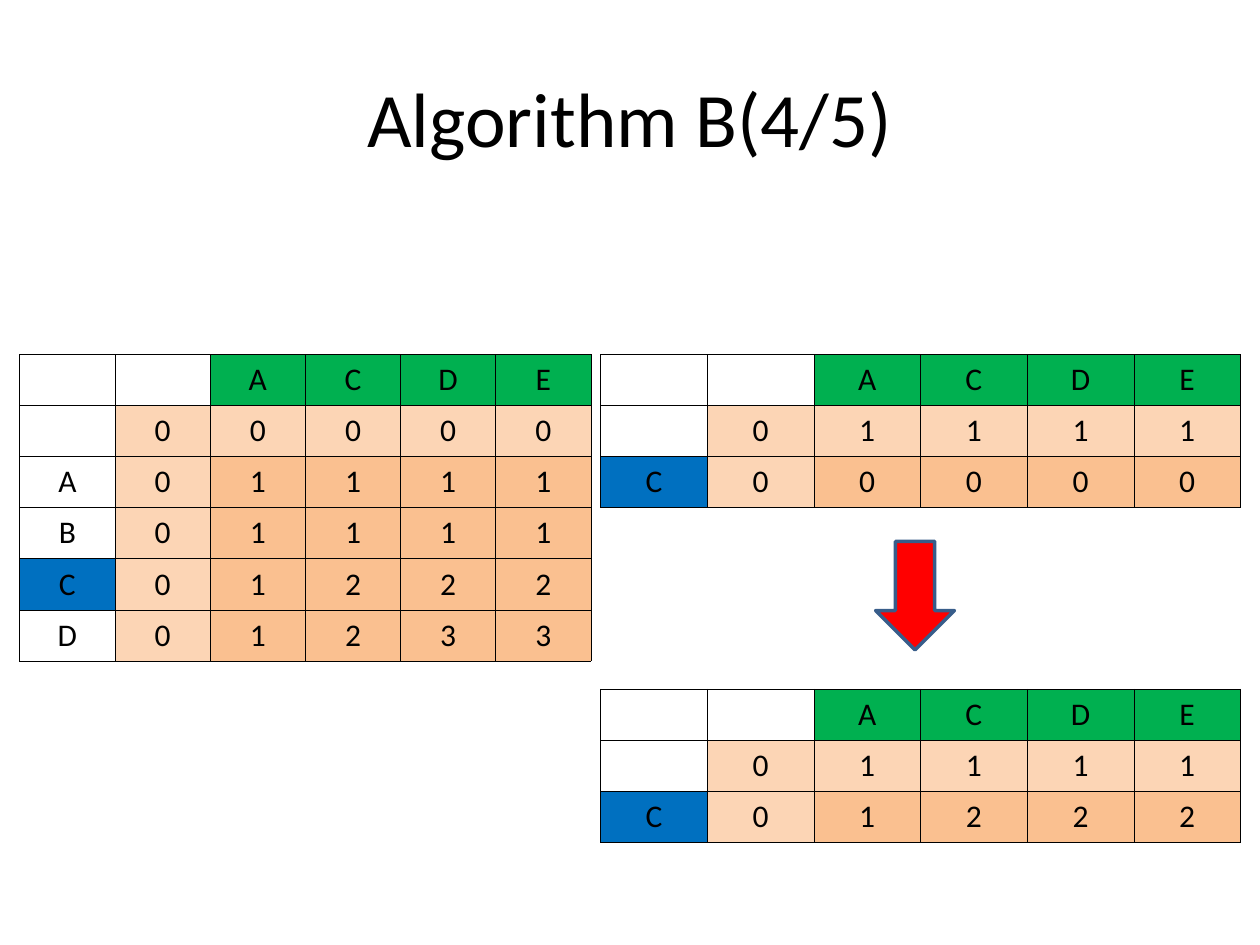
from lxml.etree import SubElement
from pptx import Presentation
from pptx.dml.color import RGBColor
from pptx.enum.shapes import MSO_SHAPE
from pptx.enum.text import MSO_ANCHOR, PP_ALIGN
from pptx.oxml.ns import qn
from pptx.util import Pt

COLORS = {
    "text": "000000",
    "border": "000000",
    "blank": "FFFFFF",
    "header": "00B050",
    "key": "0070C0",
    "base": "FCD5B5",
    "score": "FAC090",
    "arrow": "FF0000",
    "arrow_line": "385D8A",
}
FONT = "Calibri"
ROW_HEIGHT = 29.2
HEADER = ["", "", "A", "C", "D", "E"]
FULL_SCORES = [
    HEADER,
    ["", "0", "0", "0", "0", "0"],
    ["A", "0", "1", "1", "1", "1"],
    ["B", "0", "1", "1", "1", "1"],
    ["C", "0", "1", "2", "2", "2"],
    ["D", "0", "1", "2", "3", "3"],
]
ROW_BEFORE = [
    HEADER,
    ["", "0", "1", "1", "1", "1"],
    ["C", "0", "0", "0", "0", "0"],
]
ROW_AFTER = ROW_BEFORE[:2] + [["C", "0", "1", "2", "2", "2"]]


def color(name):
    return RGBColor.from_string(COLORS[name])


def write(frame, text, size):
    para = frame.paragraphs[0]
    para.alignment = PP_ALIGN.CENTER
    if text:
        span = para.add_run()
        span.text = text
        span.font.name = FONT
        span.font.size = Pt(size)
        span.font.color.rgb = color("text")


def add_title(page, left, top, width, height):
    box = page.shapes.add_textbox(Pt(left), Pt(top), Pt(width), Pt(height))
    frame = box.text_frame
    frame.word_wrap = True
    frame.vertical_anchor = MSO_ANCHOR.MIDDLE
    write(frame, "Algorithm B(4/5)", 44)


def cell_color(row, column, text):
    if row == 0:
        return "header" if text else "blank"
    if column == 0:
        return "key" if text == "C" else "blank"
    return "base" if row == 1 or column == 1 else "score"


def add_borders(cell):
    properties = cell._tc.get_or_add_tcPr()
    for side in ("a:lnL", "a:lnR", "a:lnT", "a:lnB"):
        line = SubElement(properties, qn(side), w=str(Pt(0.45)))
        fill = SubElement(line, qn("a:solidFill"))
        SubElement(fill, qn("a:srgbClr"), val=COLORS["border"])


def add_score_table(page, left, top, width, rows):
    columns = len(rows[0])
    table = page.shapes.add_table(
        len(rows), columns, Pt(left), Pt(top), Pt(width), Pt(ROW_HEIGHT * len(rows))
    ).table
    table.first_row = False
    table.horz_banding = False
    for column in table.columns:
        column.width = Pt(width / columns)
    for row_index, values in enumerate(rows):
        table.rows[row_index].height = Pt(ROW_HEIGHT)
        for column_index, text in enumerate(values):
            cell = table.cell(row_index, column_index)
            add_borders(cell)
            cell.fill.solid()
            cell.fill.fore_color.rgb = color(cell_color(row_index, column_index, text))
            write(cell.text_frame, text, 18)


def add_arrow(page, left, top, width, height):
    arrow = page.shapes.add_shape(
        MSO_SHAPE.DOWN_ARROW, Pt(left), Pt(top), Pt(width), Pt(height)
    )
    arrow.shadow.inherit = False
    arrow.fill.solid()
    arrow.fill.fore_color.rgb = color("arrow")
    arrow.line.color.rgb = color("arrow_line")
    arrow.line.width = Pt(2)


def main():
    deck = Presentation()
    deck.slide_width = Pt(720)
    deck.slide_height = Pt(540)
    page = deck.slides.add_slide(deck.slide_layouts[6])
    add_title(page, 36, 21.6, 648, 90)
    add_score_table(page, 11.3, 202.5, 326.4, FULL_SCORES)
    add_score_table(page, 343.2, 202.5, 365.8, ROW_BEFORE)
    add_score_table(page, 343.2, 393.8, 365.8, ROW_AFTER)
    add_arrow(page, 500.4, 309.4, 45, 62)
    deck.save("out.pptx")


if __name__ == "__main__":
    main()
